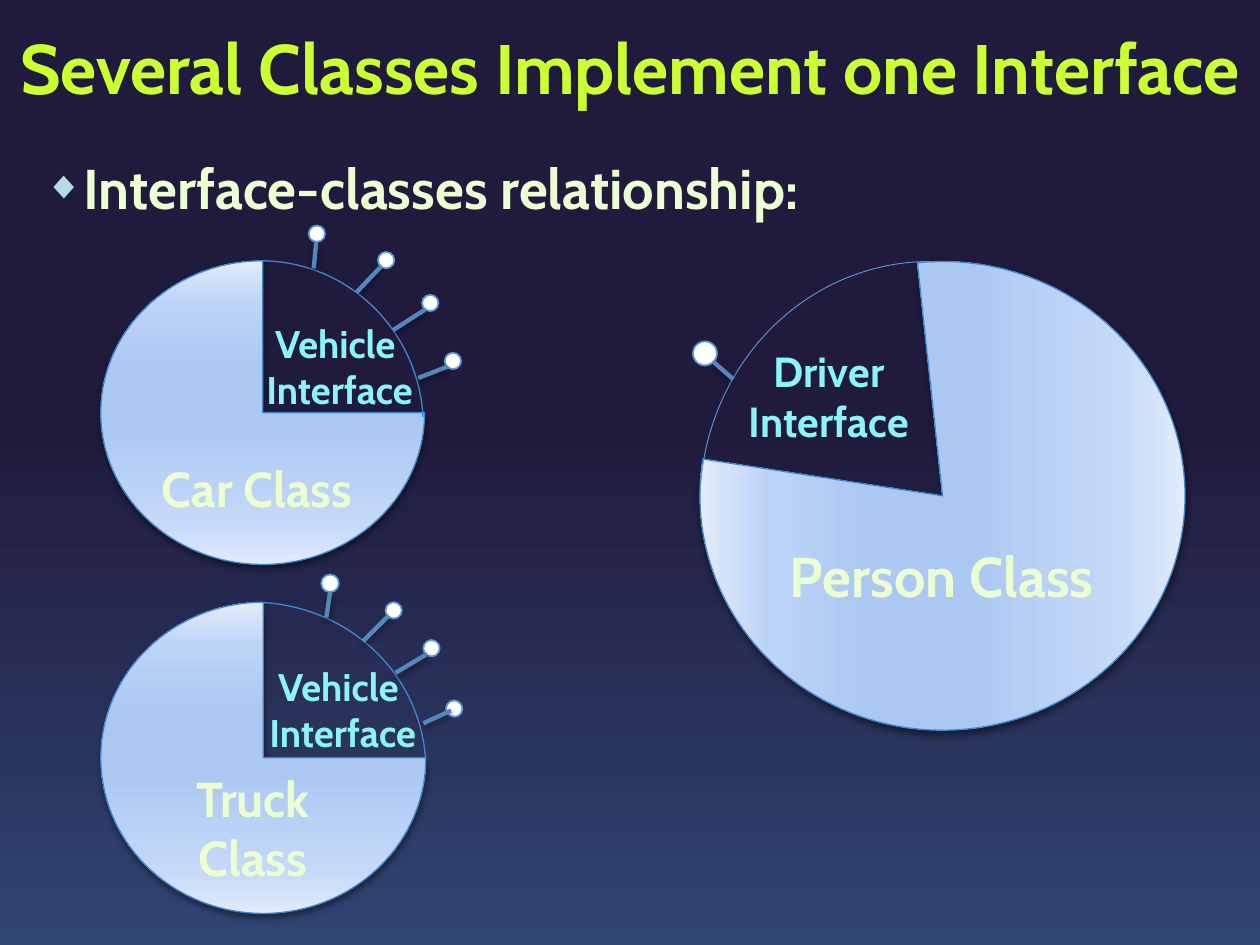
from pptx import Presentation
from pptx.dml.color import RGBColor as RGB
from pptx.enum.shapes import MSO_CONNECTOR, MSO_SHAPE as SHAPE
from pptx.enum.text import MSO_ANCHOR, MSO_AUTO_SIZE, PP_ALIGN
from pptx.oxml.ns import qn
from pptx.util import Inches, Pt
from lxml.etree import SubElement

FONT = "Cabin"
LIME, CREAM, AQUA = RGB(0xCC, 0xFF, 0x33), RGB(0xEB, 0xFF, 0xD2), RGB(0x8C, 0xF4, 0xF2)
WHITE, BULLET = RGB(0xFF, 0xFF, 0xFF), RGB(0xB5, 0xDB, 0xE5)
RIM, BALL_RIM, STEM = RGB(0x3F, 0x88, 0xD1), RGB(0x5B, 0x9B, 0xD5), RGB(0x54, 0x88, 0xBC)
BACKGROUND = [(0, "314573"), (54, "201B3D")]
PIE_FILL = [(0, "E0EBFD"), (14, "C5D9F8"), (45, "ABC8F2"),
            (65, "ABC8F2"), (86, "BDD4F7"), (100, "E3ECFA")]

# Content: boxes are (left, top, width, height); angles are in degrees
TITLE = "Several Classes Implement one Interface"
BODY = "Interface-classes relationship:"
PIES = [
    dict(pie=(0.8, 2.07, 2.57, 2.41), pie_angles=(0, 270),
         arc=(0.78, 2.07, 2.58, 2.63), arc_angles=(269.85, 356.69),
         rim=(RIM, 0.75), rotation=0, inner="Car Class "),
    dict(pie=(5.62, 2.01, 3.72, 3.85), pie_angles=(353.85, 278.73),
         arc=(5.46, 2.17, 3.84, 3.65), arc_angles=(270, 0),
         rim=(BALL_RIM, 0.5), rotation=270, inner=""),
    dict(pie=(0.8, 4.78, 2.58, 2.47), pie_angles=(0, 270),
         arc=(0.63, 4.78, 2.75, 2.65), arc_angles=(272.51, 356.69),
         rim=(RIM, 0.75), rotation=0, inner=""),
]
LABELS = [
    ("Vehicle \nInterface", (1.9, 2.49, 1.59, 0.84), 22, AQUA),
    ("Person Class", (6.14, 4.25, 2.67, 0.64), 32, CREAM),
    ("Driver Interface", (5.83, 2.69, 1.5, 0.91), 24, AQUA),
    ("Vehicle \nInterface", (1.92, 5.21, 1.6, 0.84), 22, AQUA),
    ("Truck\nClass", (0.73, 6.05, 2.56, 1.04), 28, CREAM),
]
# Pins: ball left, top, diameter; stem start; stem end
PINS = [
    (3.53, 2.8, 0.13, 3.32, 3, 3.55, 2.91),
    (3.35, 2.34, 0.13, 3.12, 2.62, 3.37, 2.46),
    (2.45, 1.79, 0.13, 2.49, 2.13, 2.51, 1.92),
    (3, 2, 0.13, 2.83, 2.32, 3.02, 2.12),
    (5.5, 2.71, 0.19, 5.82, 3.01, 5.66, 2.87),
    (3.54, 5.56, 0.13, 3.36, 5.74, 3.58, 5.64),
    (3.36, 5.08, 0.13, 3.14, 5.34, 3.39, 5.19),
    (2.55, 4.56, 0.14, 2.59, 4.9, 2.62, 4.7),
    (3.06, 4.78, 0.13, 2.88, 5.09, 3.08, 4.89),
]


def inches(box):
    return [Inches(v) for v in box]


def gradient(fill, owner, stops):
    """Fill from bottom to top with (percent, colour) stops."""
    fill.gradient()
    fill.gradient_angle = 90
    gs_list = owner.element.find(".//" + qn("a:gsLst"))
    gs_list.clear()
    for percent, color in stops:
        gs = SubElement(gs_list, qn("a:gs"), pos=str(percent * 1000))
        SubElement(gs, qn("a:srgbClr"), val=color)


def effects(sp, shadow=False):
    """Replace the theme effect with a soft drop shadow or with nothing."""
    lst = SubElement(sp.element.spPr, qn("a:effectLst"))
    if shadow:
        outer = SubElement(lst, qn("a:outerShdw"), blurRad=str(Pt(4)), dist=str(Pt(2)),
                           dir="5400000", rotWithShape="0")
        color = SubElement(outer, qn("a:srgbClr"), val="000000")
        SubElement(color, qn("a:alpha"), val="43000")


def outline(sp, color, width):
    sp.line.color.rgb = color
    sp.line.width = Pt(width)


def write(tf, text, size, color, align=PP_ALIGN.CENTER):
    tf.word_wrap = True
    tf.text = text
    for p in tf.paragraphs:
        p.alignment = align
        for r in p.runs:
            r.font.name, r.font.size, r.font.bold = FONT, Pt(size), True
            r.font.color.rgb = color


def add_sector(shapes, kind, box, angles, rotation):
    sp = shapes.add_shape(kind, *inches(box))
    sp.rotation = rotation
    for i, angle in enumerate(angles):
        sp.adjustments[i] = angle * 0.6  # 60000 units a degree, scaled by 100000
    return sp


def add_pie(shapes, item):
    pie = add_sector(shapes, SHAPE.PIE, item["pie"], item["pie_angles"], item["rotation"])
    gradient(pie.fill, pie, PIE_FILL)
    outline(pie, RIM, 0.75)
    effects(pie, shadow=True)
    if item["inner"]:
        tf = pie.text_frame
        write(tf, item["inner"], 28, CREAM)
        tf.vertical_anchor = MSO_ANCHOR.MIDDLE
        tf.margin_top = Inches(1.25)  # keeps the name below the open quarter
    arc = add_sector(shapes, SHAPE.ARC, item["arc"], item["arc_angles"], item["rotation"])
    arc.fill.background()
    outline(arc, *item["rim"])
    effects(arc)


def add_pin(shapes, left, top, size, *stem_ends):
    ball = shapes.add_shape(SHAPE.OVAL, *inches((left, top, size, size)))
    ball.fill.solid()
    ball.fill.fore_color.rgb = WHITE
    outline(ball, BALL_RIM, 1)
    effects(ball)
    stem = shapes.add_connector(MSO_CONNECTOR.STRAIGHT, *inches(stem_ends))
    outline(stem, STEM, 2.5)
    effects(stem, shadow=True)


def main():
    prs = Presentation()
    prs.slide_width, prs.slide_height = Inches(10), Inches(7.5)
    s = prs.slides.add_slide(prs.slide_layouts[1])
    gradient(s.background.fill, s, BACKGROUND)

    # Title and bullet
    title, body = s.shapes.title, s.placeholders[1]
    title.left, title.top, title.width, title.height = inches((0, 0.08, 10, 1))
    write(title.text_frame, TITLE, 40, LIME)
    title.text_frame.vertical_anchor = MSO_ANCHOR.MIDDLE
    title.text_frame.paragraphs[0].line_spacing = Pt(40)

    body.left, body.top, body.width, body.height = inches((0.25, 1.17, 9.5, 0.9))
    write(body.text_frame, BODY, 32, CREAM, PP_ALIGN.LEFT)
    p = body.text_frame.paragraphs[0]
    p.line_spacing, p.space_before, p.space_after = Pt(38), Pt(6), Pt(6)
    pPr = p._p.get_or_add_pPr()
    pPr.set("marL", str(Inches(0.31)))
    pPr.set("indent", str(Inches(-0.31)))
    SubElement(SubElement(pPr, qn("a:buClr")), qn("a:srgbClr"), val=str(BULLET))
    SubElement(pPr, qn("a:buSzPct"), val="70000")
    SubElement(pPr, qn("a:buChar"), char="◆")

    # Classes, their interfaces and the interface pins
    for item in PIES:
        add_pie(s.shapes, item)
    for text, box, size, color in LABELS:
        tf = s.shapes.add_textbox(*inches(box)).text_frame
        write(tf, text, size, color)
        tf.auto_size = MSO_AUTO_SIZE.SHAPE_TO_FIT_TEXT
    for pin in PINS:
        add_pin(s.shapes, *pin)

    prs.save("out.pptx")


if __name__ == "__main__":
    main()
